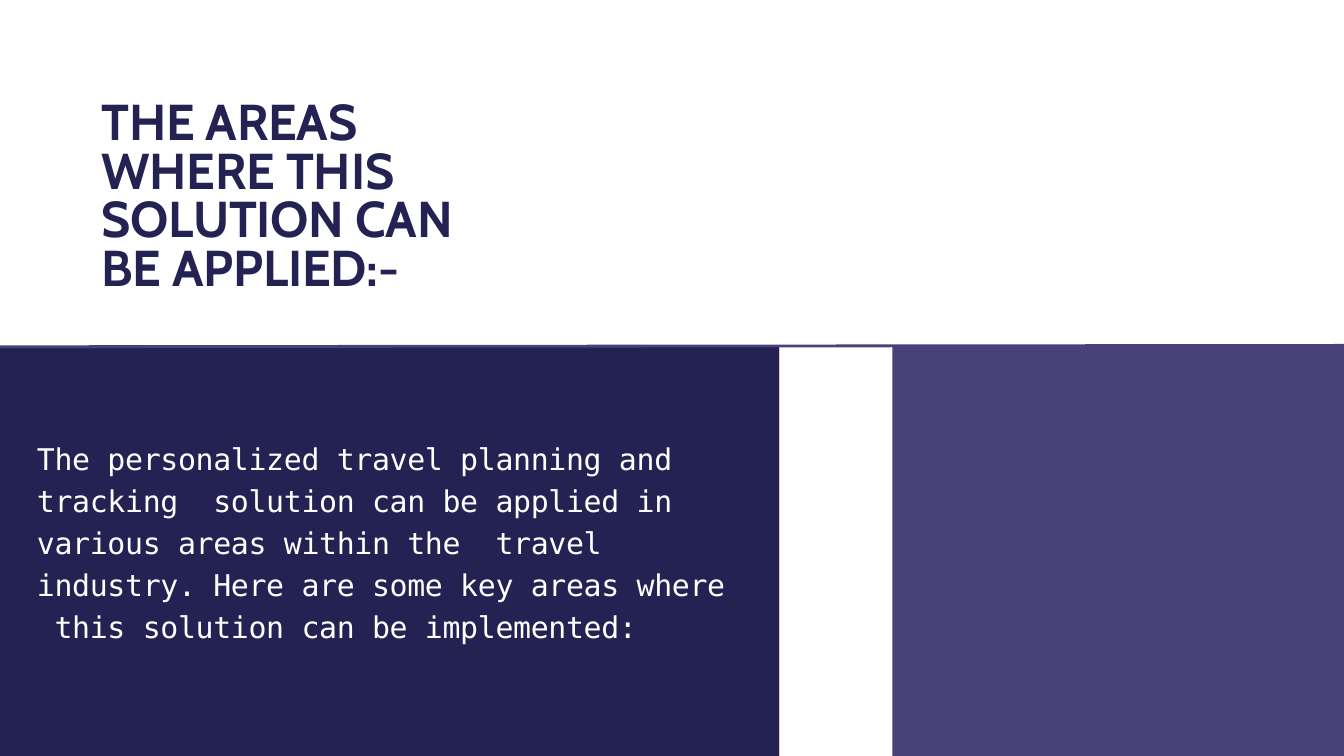
from pptx import Presentation
from pptx import util as u
from pptx.dml.color import RGBColor
from pptx.enum import shapes, text
from pptx.oxml import parse_xml
from pptx.oxml.ns import nsdecls

WIDE, HIGH = 20, 11.25
NAVY, PLUM, WHITE = "242153", "484278", "FFFFFF"
# Edges shared by the panels
TOP, LEFT, RIGHT = 5.16, 11.6, 13.28

TITLE = "THE AREAS WHERE THIS SOLUTION CAN BE APPLIED:-"
BODY = ("The personalized travel planning and tracking  solution can be "
        "applied in various areas within the  travel industry. Here are some "
        "key areas where  this solution can be implemented:")


def color(code):
    return RGBColor.from_string(code)


def panel(slide, x, y, w, h, fill):
    box = slide.shapes.add_shape(
        shapes.MSO_SHAPE.RECTANGLE, *map(u.Inches, (x, y, w, h)))
    box.shadow.inherit = False
    box.fill.solid()
    box.fill.fore_color.rgb = color(fill)
    box.line.fill.background()


def rule(slide, x1, y1, x2, y2, code, width):
    line = slide.shapes.add_connector(
        shapes.MSO_CONNECTOR.STRAIGHT, *map(u.Inches, (x1, y1, x2, y2)))
    line.line.color.rgb = color(code)
    line.line.width = u.Pt(width)
    line._element.spPr.append(parse_xml(f"<a:effectLst {nsdecls('a')}/>"))


def label(slide, at, words, font, size, code, inset, lead, before, track,
          bold=False):
    box = slide.shapes.add_textbox(*map(u.Inches, at))
    frame = box.text_frame
    frame.text = words
    frame.word_wrap = True
    frame.auto_size = text.MSO_AUTO_SIZE.SHAPE_TO_FIT_TEXT
    frame.margin_left = u.Inches(0.01)
    frame.margin_right = frame.margin_bottom = 0
    frame.margin_top = u.Inches(inset)
    para = frame.paragraphs[0]
    para.line_spacing = lead
    para.space_before = u.Pt(before)
    run = para.runs[0]
    run.font.name = font
    run.font.size = u.Pt(size)
    run.font.bold = bold
    run.font.color.rgb = color(code)
    # Letter spacing, in hundredths of a point
    run._r.get_or_add_rPr().set("spc", str(round(track * 100)))


def main():
    deck = Presentation()
    deck.slide_width, deck.slide_height = u.Inches(WIDE), u.Inches(HIGH)
    slide = deck.slides.add_slide(deck.slide_layouts[6])

    # Navy panel, white gap and white top band
    panel(slide, 0, TOP, LEFT, HIGH - TOP, NAVY)
    panel(slide, LEFT, TOP, RIGHT - LEFT, HIGH - TOP, WHITE)
    panel(slide, 0, 0, WIDE, 5.12, WHITE)

    # Title and body
    label(slide, (1.5, 1.33, 5.84, 3.08), TITLE, "Cabin", 54, NAVY,
          inset=0.19, lead=0.8, before=13.9, track=-0.2, bold=True)
    label(slide, (0.54, 6.46, 10.41, 2.53), BODY, "DejaVu Sans Mono", 32,
          WHITE, inset=0.01, lead=1.17, before=0.9, track=-0.4)

    # Plum panel and dividing line
    panel(slide, RIGHT, TOP, WIDE - RIGHT, HIGH - TOP, PLUM)
    rule(slide, 0, TOP, WIDE, 5.14, PLUM, 3)

    deck.save("out.pptx")


if __name__ == "__main__":
    main()
